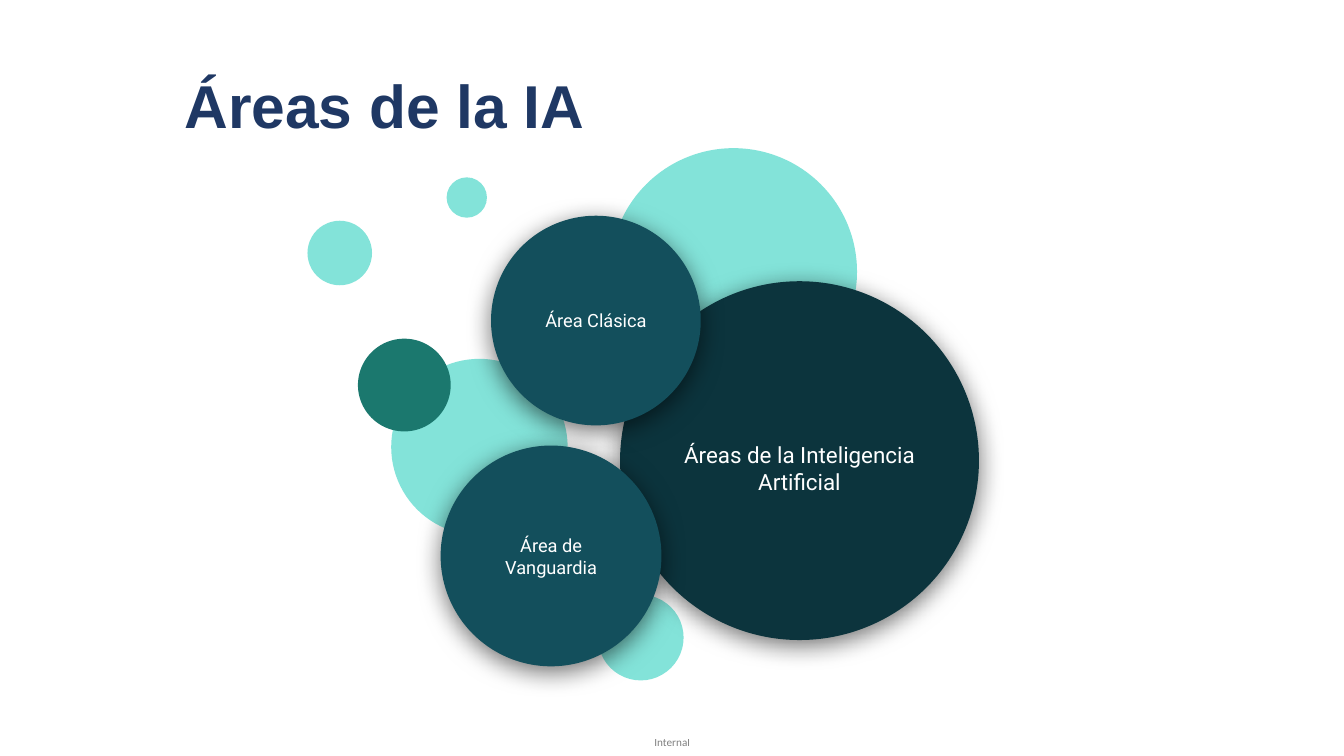
from lxml.etree import SubElement
from pptx import Presentation
from pptx.dml.color import RGBColor
from pptx.enum.shapes import MSO_SHAPE
from pptx.enum.text import MSO_ANCHOR, MSO_AUTO_SIZE, PP_ALIGN
from pptx.oxml.ns import qn
from pptx.util import Inches, Pt

MINT, GREEN, TEAL, DARK = "83E3D9", "1B786E", "134F5C", "0C343D"

DOTS = [
    (2.88, 4.43, 0.85, MINT),
    (0, 0.72, 0.64, MINT),
    (0.83, 2.09, 1.75, MINT),
    (3, 0, 2.45, MINT),
    (0.5, 1.89, 0.92, GREEN),
    (1.38, 0.29, 0.4, MINT),
]
AREAS = [
    (3.1, 1.32, 3.56, DARK, "Áreas de la Inteligencia Artificial", 16, 0.03, 0.14),
    (1.82, 0.67, 2.08, TEAL, "Área Clásica", 13, 0.1, 0),
    (1.32, 2.95, 2.19, TEAL, "Área de Vanguardia", 13, 0.12, 0),
]


def paint(target, color):
    target.rgb = RGBColor.from_string(color)


def style(para, name, size, color, bold=False):
    para.font.name = name
    para.font.size = Pt(size)
    para.font.bold = bold
    para.font.fill.solid()
    paint(para.font.fill.fore_color, color)


def inset(frame, side, top, base):
    frame.margin_left = frame.margin_right = Inches(side)
    frame.margin_top, frame.margin_bottom = Inches(top), Inches(base)


def add_title(slide, left, top, width, height):
    title = slide.shapes.title
    title.left, title.top = Inches(left), Inches(top)
    title.width, title.height = Inches(width), Inches(height)
    frame = title.text_frame
    frame.text = "Áreas de la IA"
    frame.word_wrap = True
    frame.auto_size = MSO_AUTO_SIZE.NONE
    frame.vertical_anchor = MSO_ANCHOR.BOTTOM
    inset(frame, 0.1, 0.05, 0.05)
    para = frame.paragraphs[0]
    para.alignment = PP_ALIGN.LEFT
    para.line_spacing = 0.9
    style(para, "Arial", 43.2, "1F3864", True)


def add_disc(slide, left, top, size, color):
    disc = slide.shapes.add_shape(
        MSO_SHAPE.OVAL, Inches(left), Inches(top), Inches(size), Inches(size))
    disc.shadow.inherit = False
    disc.fill.solid()
    paint(disc.fill.fore_color, color)
    disc.line.fill.background()
    return disc


def add_shadow(disc):
    effects = disc._element.spPr.find(qn("a:effectLst"))
    shadow = SubElement(effects, qn("a:outerShdw"), blurRad=str(Pt(18)),
                        dist=str(Pt(4)), dir="5400000", algn="bl", rotWithShape="0")
    tone = SubElement(shadow, qn("a:srgbClr"), val="000000")
    SubElement(tone, qn("a:alpha"), val="55000")


def add_label(disc, text, size, side, drop):
    frame = disc.text_frame
    frame.text = text
    frame.word_wrap = True
    frame.vertical_anchor = MSO_ANCHOR.MIDDLE
    inset(frame, side, drop, 0)
    para = frame.paragraphs[0]
    para.alignment = PP_ALIGN.CENTER
    style(para, "Roboto", size, "FFFFFF")


def add_bubbles(slide, left, top):
    for x, y, size, color in DOTS:
        add_disc(slide, left + x, top + y, size, color)
    for x, y, size, color, text, points, side, drop in AREAS:
        disc = add_disc(slide, left + x, top + y, size, color)
        add_shadow(disc)
        add_label(disc, text, points, side, drop)


def add_footer(slide, left, top, width, height):
    box = slide.shapes.add_textbox(
        Inches(left), Inches(top), Inches(width), Inches(height))
    frame = box.text_frame
    frame.text = "Internal"
    frame.word_wrap = False
    inset(frame, 0, 0, 0)
    para = frame.paragraphs[0]
    style(para, "Calibri", 8, "000000")
    tone = next(para._p.iter(qn("a:srgbClr")))
    SubElement(tone, qn("a:alpha"), val="50000")


def main():
    deck = Presentation()
    deck.slide_width, deck.slide_height = Inches(13.33), Inches(7.5)
    slide = deck.slides.add_slide(deck.slide_layouts[5])
    add_footer(slide, 6.49, 7.3, 0.38, 0.13)
    add_title(slide, 1.73, 0.64, 10, 0.81)
    add_bubbles(slide, 3.05, 1.47)
    deck.save("out.pptx")


if __name__ == "__main__":
    main()
